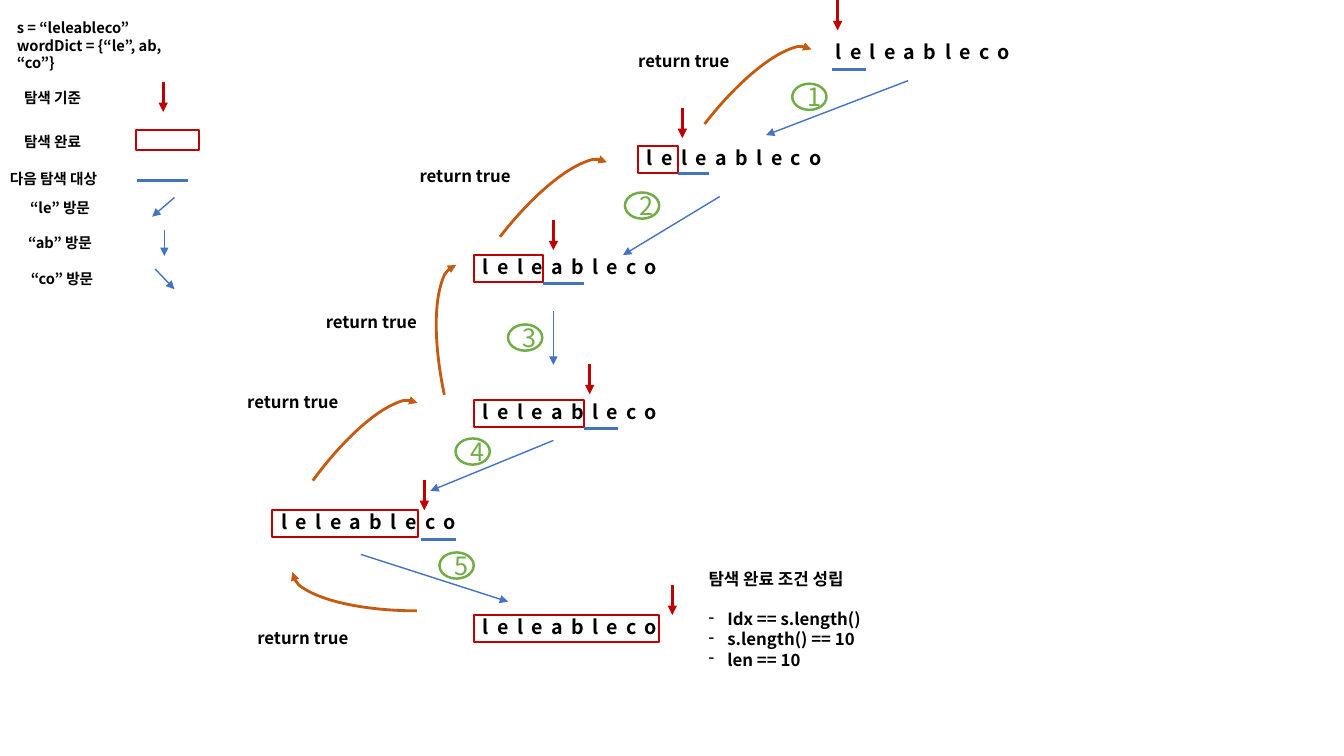
from pptx import Presentation
from pptx.dml.color import RGBColor
from pptx.enum.shapes import MSO_CONNECTOR, MSO_SHAPE
from pptx.enum.text import MSO_ANCHOR, MSO_AUTO_SIZE, PP_ALIGN
from pptx.oxml.ns import qn
from pptx.util import Pt
from lxml import etree

FONT = "Noto Sans CJK KR"
BLACK = RGBColor(0x00, 0x00, 0x00)
WHITE = RGBColor(0xFF, 0xFF, 0xFF)
RED = RGBColor(0xC0, 0x00, 0x00)
BLUE = RGBColor(0x44, 0x72, 0xC4)
GREEN = RGBColor(0x70, 0xAD, 0x47)
ORANGE = RGBColor(0xC5, 0x5A, 0x11)
RECTANGLE, OVAL, ARC = MSO_SHAPE.RECTANGLE, MSO_SHAPE.OVAL, MSO_SHAPE.ARC
STRAIGHT = MSO_CONNECTOR.STRAIGHT
LEFT, CENTER = PP_ALIGN.LEFT, PP_ALIGN.CENTER
MIDDLE = MSO_ANCHOR.MIDDLE
GROW = MSO_AUTO_SIZE.SHAPE_TO_FIT_TEXT


class Diagram:
    def __init__(self, page):
        self.page = page

    def fill_text(self, shape, lines, size, color=BLACK, bold=True, align=LEFT, spacing=0):
        frame = shape.text_frame
        frame.word_wrap = True
        frame.text = "\n".join(lines)
        for para in frame.paragraphs:
            para.alignment = align
            for span in para.runs:
                span.font.name = FONT
                span.font.size = Pt(size)
                span.font.bold = bold
                span.font.color.rgb = color
                props = span._r.get_or_add_rPr()
                etree.SubElement(props, qn("a:ea"), typeface=FONT)
                if spacing:
                    props.set("spc", str(spacing * 100))
        return frame

    def text(self, x, y, width, height, lines, size, **style):
        box = self.page.shapes.add_textbox(Pt(x), Pt(y), Pt(width), Pt(height))
        frame = self.fill_text(box, lines, size, **style)
        frame.auto_size = GROW
        return frame

    def outline(self, kind, x, y, width, height, color, weight):
        shape = self.page.shapes.add_shape(kind, Pt(x), Pt(y), Pt(width), Pt(height))
        shape.shadow.inherit = False
        shape.fill.background()
        shape.line.color.rgb = color
        shape.line.width = Pt(weight)
        return shape

    def add_head(self, shape):
        outline = shape._element.spPr.find(qn("a:ln"))
        etree.SubElement(outline, qn("a:tailEnd"), type="triangle")

    def line(self, x1, y1, x2, y2, color, weight, head=False):
        line = self.page.shapes.add_connector(STRAIGHT, Pt(x1), Pt(y1), Pt(x2), Pt(y2))
        line.line.color.rgb = color
        line.line.width = Pt(weight)
        if head:
            self.add_head(line)
        etree.SubElement(line._element.spPr, qn("a:effectLst"))

    def pointer(self, x, y):
        self.line(x, y, x, y + 21.7, RED, 2.25, head=True)

    def visit(self, x1, y1, x2, y2):
        self.line(x1, y1, x2, y2, BLUE, 1, head=True)

    def badge(self, number, x, y):
        oval = self.outline(OVAL, x, y, 24.5, 18.7, GREEN, 1.75)
        frame = self.fill_text(oval, [str(number)], 18, color=GREEN, bold=False, align=CENTER)
        frame.vertical_anchor = MIDDLE

    def return_arc(self, x, y, rotation):
        arc = self.outline(ARC, x, y, 177.8, 55.4, ORANGE, 2)
        arc.rotation = rotation
        self.add_head(arc)

    def return_label(self, x, y):
        label = self.outline(RECTANGLE, x, y, 81.4, 22.3, WHITE, 1.5)
        frame = self.fill_text(label, ["return true"], 12, align=CENTER)
        frame.vertical_anchor = MIDDLE

    def word(self, x, y, done_width):
        self.text(x, y, 157.7, 24.5, ["leleableco"], 14, spacing=6)
        if done_width:
            self.outline(RECTANGLE, x + 0.7, y + 3.4, done_width, 19.5, RED, 1.5)


deck = Presentation()
deck.slide_width, deck.slide_height = Pt(960), Pt(540)
diagram = Diagram(deck.slides.add_slide(deck.slide_layouts[6]))

diagram.text(5, 10.1, 144.7, 33.8, ["s = “leleableco”", "wordDict = {“le”, ab, “co”}"], 10.5)
legend = [
    ("탐색 기준", 10.1, 59.8, 62.6, LEFT),
    ("탐색 완료", 10.1, 91.4, 62.6, LEFT),
    ("다음 탐색 대상", 0, 118.1, 88.6, LEFT),
    ("“le” 방문", -1.4, 138.2, 88.6, CENTER),
    ("“ab” 방문", -1.4, 163.4, 88.6, CENTER),
    ("“co” 방문", 0, 189.4, 88.6, CENTER),
]
for caption, x, y, width, align in legend:
    diagram.text(x, y, width, 20.2, [caption], 10.5, align=align)
diagram.pointer(116.6, 58.3)
diagram.outline(RECTANGLE, 97.2, 92.9, 44.9, 14.6, RED, 1.5)
diagram.line(97.9, 128.9, 134.6, 128.9, BLUE, 2.25)

words = [
    (589.7, 25.2, 0),
    (455, 100.8, 28.8),
    (337.7, 178.6, 49.7),
    (337.7, 282.2, 78.5),
    (193.7, 360.7, 104.4),
    (337.7, 435.6, 132.5),
]
for word in words:
    diagram.word(*word)

pointers = [(598.3, 0), (487.4, 77), (395.3, 157), (421.2, 260), (303.1, 342.7), (480.2, 417.6)]
for pointer in pointers:
    diagram.pointer(*pointer)

next_targets = [
    (594, 618.5, 49.7),
    (484.6, 506.2, 123.8),
    (388.1, 416.9, 202.3),
    (416.9, 441.4, 306),
    (301, 325.4, 385.2),
]
for start, end, y in next_targets:
    diagram.line(start, y, end, y, BLUE, 2.25)

visits = [
    (124.6, 141.1, 108.7, 154.8),
    (117.4, 164.2, 117.4, 182.9),
    (110.9, 192.2, 124.6, 206.6),
    (648.7, 57.6, 547.2, 96.5),
    (514.1, 140.4, 445, 182.2),
    (395.3, 222.5, 395.3, 260.6),
    (395.3, 314.6, 307.4, 350.6),
    (257.8, 396, 362.9, 429.8),
]
for visit in visits:
    diagram.visit(*visit)

badges = [(565.9, 59.8), (446.4, 137.5), (362.9, 231.8), (325.4, 313.2), (313.9, 394.6)]
for number, (x, y) in enumerate(badges, start=1):
    diagram.badge(number, x, y)

return_arcs = [
    (208.8, 380.9, 180),
    (157, 331.9, 306.1),
    (255.6, 248.4, 257.9),
    (290.2, 158.4, 307.8),
    (436.3, 77.8, 307.8),
]
for arc in return_arcs:
    diagram.return_arc(*arc)

return_labels = [(168.5, 275.8), (175.7, 444.2), (224.6, 218.9), (291.6, 114.5), (447.8, 32.4)]
for label in return_labels:
    diagram.return_label(*label)

conditions = ["탐색 완료 조건 성립", "Idx == s.length()", "s.length() == 10", "len == 10"]
heading, *bullets = diagram.text(499, 402.5, 157.7, 79.9, conditions, 12).paragraphs
heading.space_after = Pt(14.6)
for para in bullets:
    props = para._p.get_or_add_pPr()
    props.set("marL", str(Pt(13.5)))
    props.set("indent", str(Pt(-13.5)))
    etree.SubElement(props, qn("a:buFontTx"))
    etree.SubElement(props, qn("a:buChar"), char="-")

deck.save("out.pptx")
